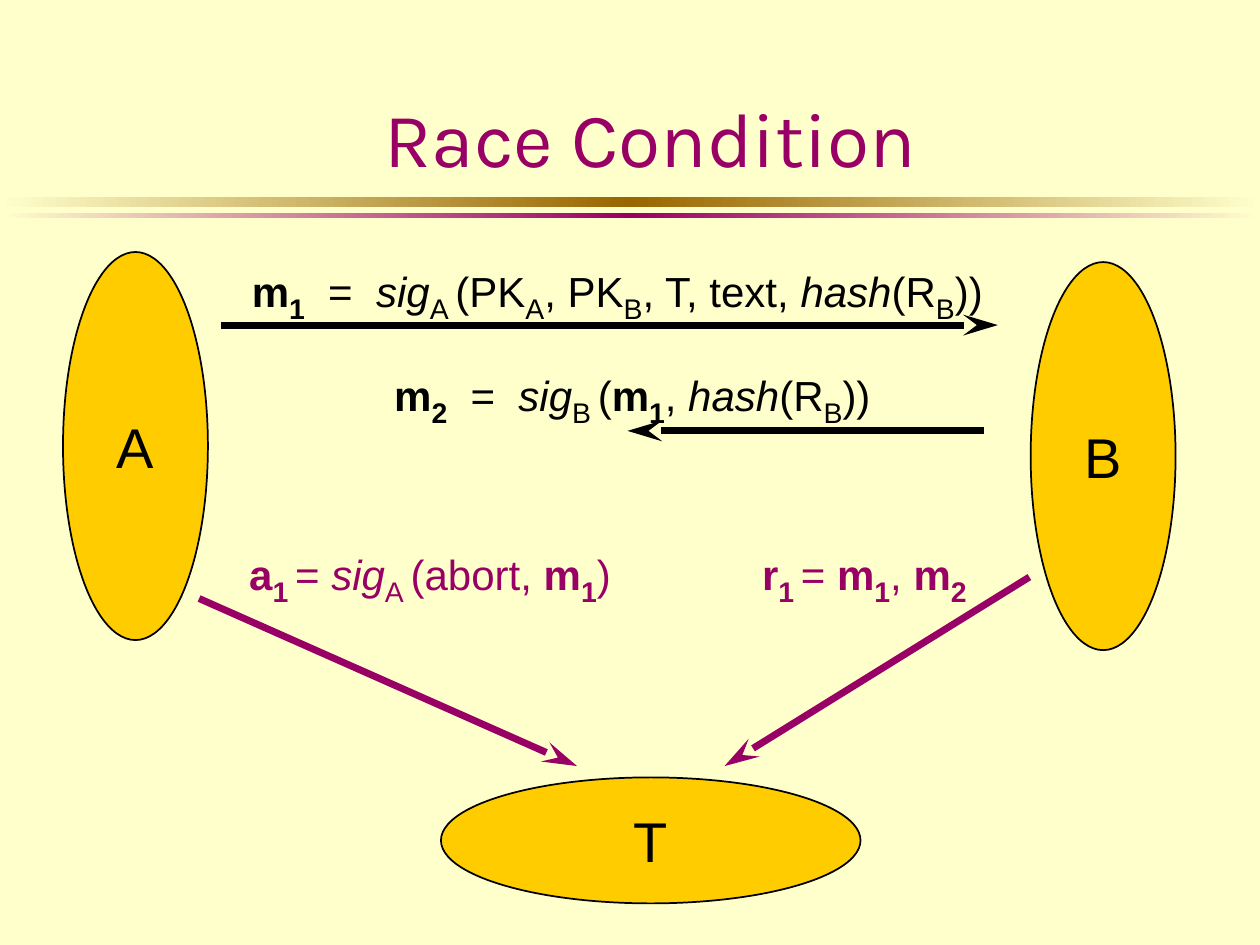
from copy import deepcopy

from lxml import etree
from pptx import Presentation
from pptx.dml.color import RGBColor
from pptx.enum.shapes import MSO_CONNECTOR, MSO_SHAPE
from pptx.enum.text import MSO_ANCHOR, PP_ALIGN
from pptx.oxml.ns import qn
from pptx.util import Inches, Pt

RECTANGLE, OVAL = MSO_SHAPE.RECTANGLE, MSO_SHAPE.OVAL
STRAIGHT = MSO_CONNECTOR.STRAIGHT
CENTER = PP_ALIGN.CENTER
MIDDLE, BOTTOM = MSO_ANCHOR.MIDDLE, MSO_ANCHOR.BOTTOM

CREAM = RGBColor(0xFF, 0xFF, 0xCC)
BROWN = RGBColor(0x99, 0x66, 0x00)
PLUM = RGBColor(0x99, 0x00, 0x66)
GOLD = RGBColor(0xFF, 0xCC, 0x00)
BLACK = RGBColor(0, 0, 0)


def inches(*values):
    return [Inches(value) for value in values]


deck = Presentation()
deck.slide_width, deck.slide_height = inches(10, 7.5)
page = deck.slides.add_slide(deck.slide_layouts[5])
page.background.fill.solid()
page.background.fill.fore_color.rgb = CREAM

# Two rules under the title, fading out at both ends
for top, height, color in [(1.56, 0.08, BROWN), (1.69, 0.04, PLUM)]:
    rule = page.shapes.add_shape(RECTANGLE, *inches(0, top, 10, height))
    rule.shadow.inherit = False
    rule.line.fill.background()
    rule.fill.gradient()
    rule.fill.gradient_angle = 0
    stop_list = rule._element.spPr.find(qn("a:gradFill")).find(qn("a:gsLst"))
    stop_list.insert(1, deepcopy(stop_list[0]))
    stops = zip(rule.fill.gradient_stops, (0, 0.5, 1), (CREAM, color, CREAM))
    for stop, position, shade in stops:
        stop.position = position
        stop.color.rgb = shade

title = page.shapes.title
title.left, title.top, title.width, title.height = inches(0.33, 0.25, 9.67, 1.25)
title.text_frame.text = "Race Condition"
title.text_frame.vertical_anchor = BOTTOM
para = title.text_frame.paragraphs[0]
para.alignment = CENTER
para.font.name, para.font.size = "Karla", Pt(44)
para.font.color.rgb = PLUM

# Parties
parties = [
    ("A", 0.5, 2, 1.15, 3.08),
    ("B", 8.18, 2.08, 1.15, 3.08),
    ("T", 3.5, 6.17, 3.33, 1),
]
for name, *place in parties:
    party = page.shapes.add_shape(OVAL, *inches(*place))
    party.shadow.inherit = False
    party.fill.solid()
    party.fill.fore_color.rgb = GOLD
    party.line.color.rgb = BLACK
    party.line.width = Pt(1)
    party.text_frame.text = name
    party.text_frame.word_wrap = False
    party.text_frame.vertical_anchor = MIDDLE
    para = party.text_frame.paragraphs[0]
    para.alignment = CENTER
    para.font.name, para.font.size = "Arial", Pt(32)
    para.font.color.rgb = BLACK

# Arrows: start and end points
arrows = [
    (BLACK, 1.75, 2.58, 7.92, 2.58),
    (BLACK, 7.81, 3.42, 4.98, 3.42),
    (PLUM, 1.58, 4.75, 4.58, 6.08),
    (PLUM, 8.17, 4.58, 5.75, 6.08),
]
for color, *ends in arrows:
    arrow = page.shapes.add_connector(STRAIGHT, *inches(*ends))
    arrow.line.color.rgb = color
    arrow.line.width = Pt(4)
    etree.SubElement(arrow.line._get_or_add_ln(), qn("a:tailEnd"),
                     type="stealth", w="med", len="lg")
    etree.SubElement(arrow._element.spPr, qn("a:effectLst"))

# Messages: each span has its text and marks, b bold, i italic, s subscript
M1 = [("m", "b"), ("1", "bs")]
M2 = [("m", "b"), ("2", "bs")]
HASH_RB = [("hash", "i"), ("(R", ""), ("B", "s"), ("))", "")]
SIG_A = [("sig", "i"), ("A", "s"), (" ", "s")]
SIG_B = [("sig", "i"), ("B", "s"), (" ", "s")]

messages = [
    (BLACK, 1.9, 2, 6.05,
     M1 + [("  =  ", "")] + SIG_A
     + [("(PK", ""), ("A", "s"), (", PK", ""), ("B", "s"), (", T, text, ", "")]
     + HASH_RB),
    (BLACK, 3.03, 2.83, 3.98,
     M2 + [("  =  ", "")] + SIG_B + [("(", "")] + M1 + [(", ", "")] + HASH_RB),
    (PLUM, 1.88, 4.25, 3.07,
     [("a", "b"), ("1", "bs"), (" ", "bs"), ("= ", "")] + SIG_A
     + [("(abort, ", "")] + M1 + [(")", "")]),
    (PLUM, 5.95, 4.25, 1.83,
     [("r", "b"), ("1", "bs"), (" ", "bs"), ("= ", "")] + M1 + [(", ", "")] + M2),
]
for color, left, top, width, spans in messages:
    box = page.shapes.add_textbox(*inches(left, top, width, 0.63))
    box.text_frame.word_wrap = False
    para = box.text_frame.paragraphs[0]
    para.font.name = "Arial"
    para.font.color.rgb = color
    for text, marks in spans:
        span = para.add_run()
        span.text = text
        span.font.bold = "b" in marks
        span.font.italic = "i" in marks
        span.font.size = Pt(28 if "s" in marks and text.strip() else 24)
        if "s" in marks:
            span.font._element.set("baseline", "-25000")

deck.save("out.pptx")
